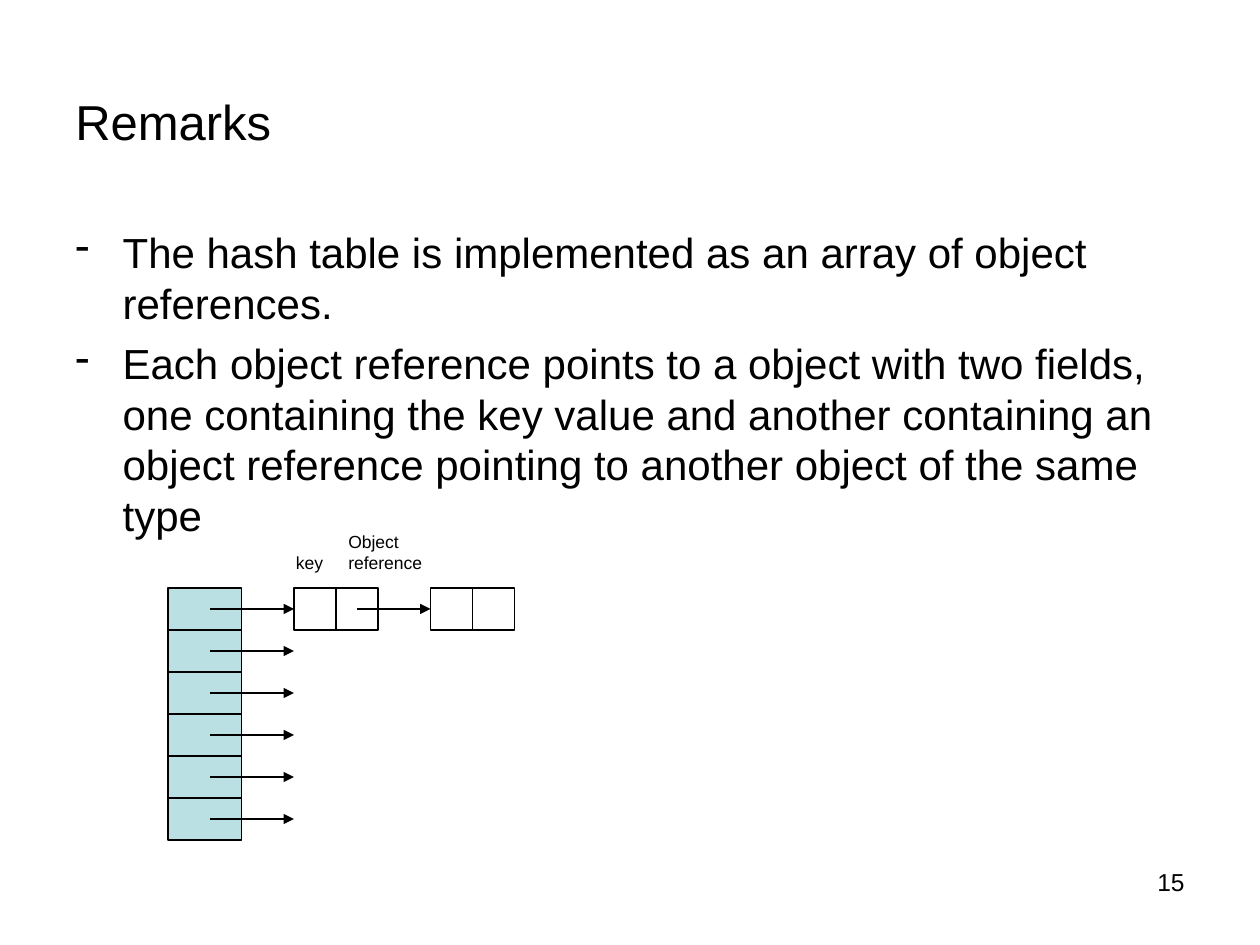
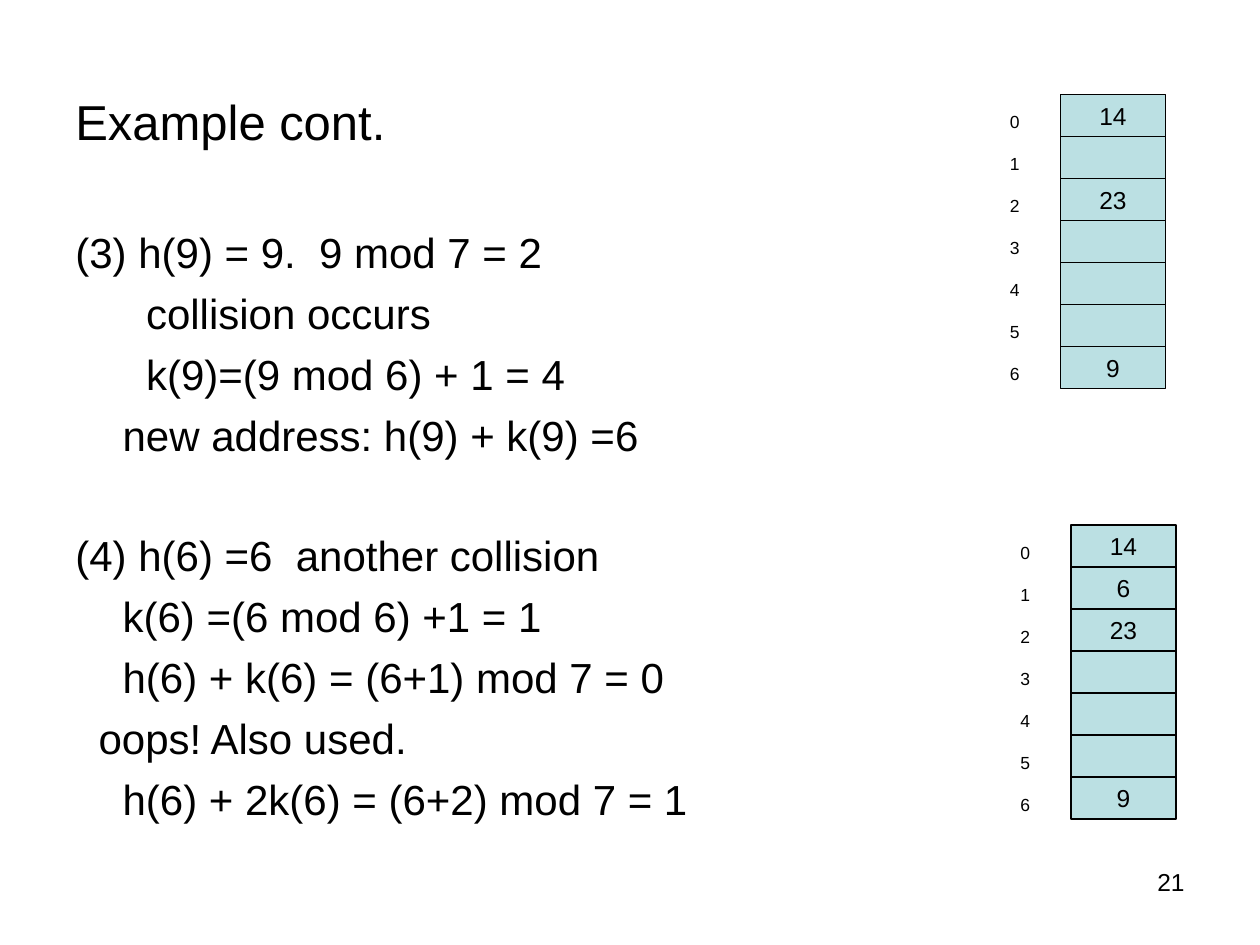
"""Builds two slides on hash tables: remarks on chaining and a double hashing example."""
from lxml import etree
from pptx import Presentation
from pptx.dml.color import RGBColor
from pptx.enum.shapes import MSO_CONNECTOR, MSO_SHAPE
from pptx.enum.text import MSO_ANCHOR, PP_ALIGN
from pptx.oxml.ns import qn
from pptx.util import Pt

BLACK = RGBColor(0x00, 0x00, 0x00)
WHITE = RGBColor(0xFF, 0xFF, 0xFF)
PALE_TEAL = RGBColor(0xBB, 0xE0, 0xE3)
LEFT, CENTER, RIGHT = PP_ALIGN.LEFT, PP_ALIGN.CENTER, PP_ALIGN.RIGHT
TOP, MIDDLE = MSO_ANCHOR.TOP, MSO_ANCHOR.MIDDLE
RECTANGLE = MSO_SHAPE.RECTANGLE
STRAIGHT = MSO_CONNECTOR.STRAIGHT
FONT = "Arial"
CELL_HEIGHT = 24
HANG = 27


def add_text(slide, box, lines, size, align=LEFT, anchor=TOP):
    """Adds a wrapped text box and returns its paragraphs."""
    frame = slide.shapes.add_textbox(*map(Pt, box)).text_frame
    frame.word_wrap = True
    frame.vertical_anchor = anchor
    for index, line in enumerate(lines):
        paragraph = frame.paragraphs[0] if index == 0 else frame.add_paragraph()
        paragraph.alignment = align
        run = paragraph.add_run()
        run.text = line
        run.font.name = FONT
        run.font.size = Pt(size)
        run.font.color.rgb = BLACK
    return frame.paragraphs


def add_cell(slide, left, top, width, fill, value=""):
    """Adds one outlined cell, with a centred value if there is one."""
    cell = slide.shapes.add_shape(RECTANGLE, Pt(left), Pt(top), Pt(width), Pt(CELL_HEIGHT))
    cell.shadow.inherit = False
    cell.fill.solid()
    cell.fill.fore_color.rgb = fill
    cell.line.color.rgb = BLACK
    cell.line.width = Pt(0.75)
    if value:
        cell.text_frame.word_wrap = False
        cell.text_frame.vertical_anchor = MIDDLE
        paragraph = cell.text_frame.paragraphs[0]
        paragraph.alignment = CENTER
        run = paragraph.add_run()
        run.text = value
        run.font.name = FONT
        run.font.size = Pt(14)
        run.font.color.rgb = BLACK


prs = Presentation()
prs.slide_width = Pt(720)
prs.slide_height = Pt(540)

slides = []
for title, number in (("Remarks", "15"), ("Example cont.", "21")):
    slide = prs.slides.add_slide(prs.slide_layouts[6])
    add_text(slide, (516, 492, 168, 37), [number], 14, RIGHT)
    add_text(slide, (36, 24, 648, 90), [title], 28, anchor=MIDDLE)
    slides.append(slide)
remarks, example = slides

remark_lines = [
    "The hash table is implemented as an array of object references.",
    "Each object reference points to a object with two fields, one containing the key value "
    "and another containing an object reference pointing to another object of the same type",
]
for index, paragraph in enumerate(add_text(remarks, (36, 126, 648, 186), remark_lines, 24)):
    if index:
        paragraph.space_before = Pt(6)
    properties = paragraph._p.get_or_add_pPr()
    properties.set("marL", str(Pt(HANG)))
    properties.set("indent", str(-Pt(HANG)))
    etree.SubElement(properties, qn("a:buChar")).set("char", "-")

bucket_left, bucket_top, bucket_count = 96, 336, 6
first_middle = bucket_top + CELL_HEIGHT / 2
for row in range(bucket_count):
    add_cell(remarks, bucket_left, bucket_top + row * CELL_HEIGHT, 42, PALE_TEAL)
for field_left in (168, 192, 246, 270):
    add_cell(remarks, field_left, bucket_top, CELL_HEIGHT, WHITE)

references = [(120, 168, first_middle + row * CELL_HEIGHT) for row in range(bucket_count)]
references.append((204, 246, first_middle))
for start, end, middle in references:
    arrow = remarks.shapes.add_connector(STRAIGHT, Pt(start), Pt(middle), Pt(end), Pt(middle))
    arrow.line.color.rgb = BLACK
    arrow.line.width = Pt(0.75)
    etree.SubElement(arrow.line._get_or_add_ln(), qn("a:tailEnd")).set("type", "triangle")
    etree.SubElement(arrow._element.spPr, qn("a:effectLst"))

add_text(remarks, (162, 312, 48, 19), ["key"], 10)
add_text(remarks, (192, 300, 60, 31), ["Object reference"], 10)

steps = [
    ("(3) h(9) = 9.  9 mod 7 = 2", 0, 0),
    ("collision occurs", 40.4, 6),
    ("k(9)=(9 mod 6) + 1 = 4", 40.4, 6),
    ("new address: h(9) + k(9) =6", HANG, 6),
    ("(4) h(6) =6  another collision", 0, 40),
    ("k(6) =(6 mod 6) +1 = 1", HANG, 6),
    ("h(6) + k(6) = (6+1) mod 7 = 0", HANG, 6),
    ("oops! Also used.", 13.3, 6),
    ("h(6) + 2k(6) = (6+2) mod 7 = 1", HANG, 6),
]
step_paragraphs = add_text(example, (36, 126, 396, 356), [step[0] for step in steps], 24)
for paragraph, (_, margin, gap) in zip(step_paragraphs, steps):
    paragraph._p.get_or_add_pPr().set("marL", str(Pt(margin)))
    if gap:
        paragraph.space_before = Pt(gap)

hash_tables = [
    (606, 54, ["14", "", "23", "", "", "", "9"]),
    (612, 300, ["14", "6", "23", "", "", "", "9"]),
]
for left, top, values in hash_tables:
    for address, value in enumerate(values):
        row_top = top + address * CELL_HEIGHT
        add_cell(example, left, row_top, 60, PALE_TEAL, value)
        add_text(example, (left - 36, row_top + 6, 24, 19), [str(address)], 10)

prs.save("out.pptx")
